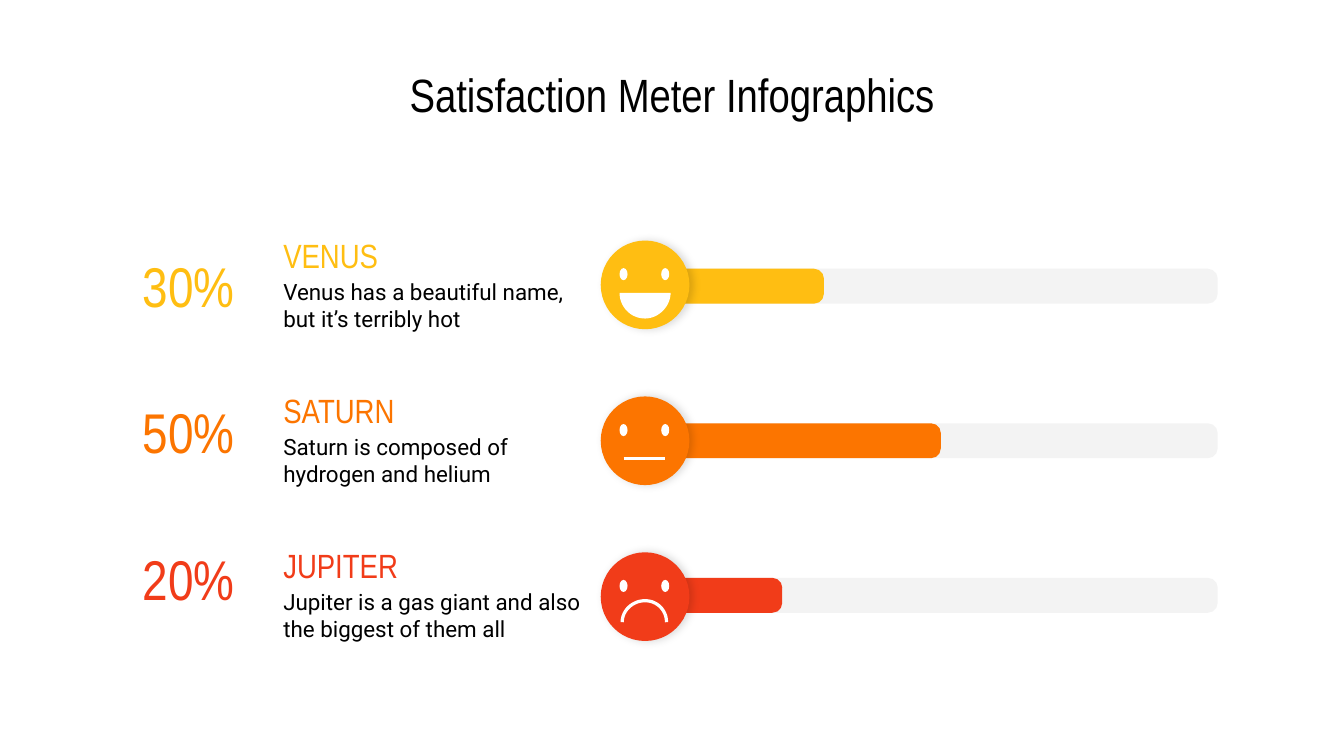
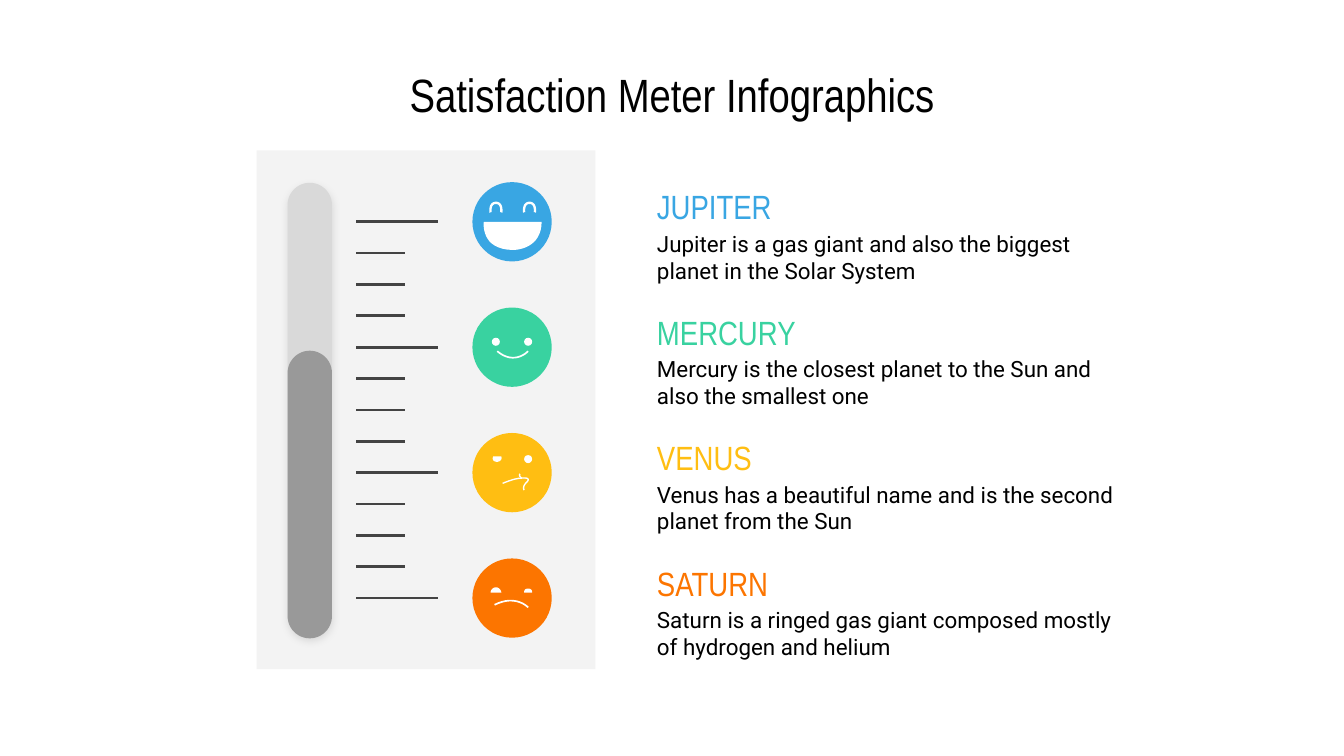
from lxml.etree import SubElement
from pptx import Presentation
from pptx.dml.color import RGBColor
from pptx.enum.shapes import MSO_CONNECTOR as Connector, MSO_SHAPE as Preset
from pptx.enum.text import MSO_ANCHOR as Anchor, PP_ALIGN as Align
from pptx.oxml.ns import qn
from pptx.util import Inches, Pt

# Shared look
BLACK = RGBColor(0x00, 0x00, 0x00)
WHITE = RGBColor(0xFF, 0xFF, 0xFF)
PALE = RGBColor(0xF3, 0xF3, 0xF3)
TUBE = RGBColor(0xD9, 0xD9, 0xD9)
LEVEL = RGBColor(0x99, 0x99, 0x99)
TICK = RGBColor(0x43, 0x43, 0x43)
YELLOW = RGBColor(0xFF, 0xBE, 0x12)
ORANGE = RGBColor(0xFC, 0x75, 0x00)
RED = RGBColor(0xF1, 0x3C, 0x19)
BLUE = RGBColor(0x39, 0xA6, 0xE3)
GREEN = RGBColor(0x39, 0xD2, 0xA0)
HEAD_FONT = "Arial Narrow"
BODY_FONT = "Roboto"
TITLE = "Satisfaction Meter Infographics"
PAGE_WIDTH = 10
CURVE_STEPS = 16


# Element helpers
def add_text(page, text, area, size, color, font=HEAD_FONT,
             align=Align.LEFT, anchor=Anchor.MIDDLE):
    box = page.shapes.add_textbox(*map(Inches, area))
    frame = box.text_frame
    frame.word_wrap = True
    frame.vertical_anchor = anchor
    frame.margin_left = frame.margin_right = Inches(0.1)
    frame.margin_top = frame.margin_bottom = Inches(0.1)
    frame.text = text
    para = frame.paragraphs[0]
    para.alignment = align
    span = para.runs[0]
    span.font.name = font
    span.font.size = Pt(size)
    span.font.color.rgb = color


def add_caption(page, left, top, width, heading, body, color):
    add_text(page, heading, (left, top, width, 0.31), 18, color)
    add_text(page, body, (left, top + 0.23, width, 0.5), 12, BLACK,
             BODY_FONT, anchor=Anchor.TOP)


def add_preset(page, kind, area, color):
    shape = page.shapes.add_shape(kind, *map(Inches, area))
    shape.shadow.inherit = False
    shape.fill.solid()
    shape.fill.fore_color.rgb = color
    shape.line.fill.background()
    return shape


def add_oval(page, center, width, height, color):
    x, y = center
    return add_preset(page, Preset.OVAL,
                      (x - width / 2, y - height / 2, width, height), color)


def cast_shadow(shape, alpha, distance, angle):
    effects = shape.element.spPr.find(qn("a:effectLst"))
    outer = SubElement(effects, qn("a:outerShdw"), blurRad=str(Pt(4.5)),
                       dist=str(Pt(distance)), dir=str(angle * 60000),
                       algn="bl", rotWithShape="0")
    color = SubElement(outer, qn("a:srgbClr"), val=str(BLACK))
    SubElement(color, qn("a:alpha"), val=str(alpha * 1000))


def add_line(page, start, end, color, width):
    line = page.shapes.add_connector(Connector.STRAIGHT,
                                     *map(Inches, (*start, *end)))
    line.line.color.rgb = color
    line.line.width = Pt(width)
    SubElement(line.element.spPr, qn("a:effectLst"))


def bezier(start, controls):
    """Points along a cubic curve, without its start."""
    knots = [start, controls[0:2], controls[2:4], controls[4:6]]
    for step in range(1, CURVE_STEPS + 1):
        t = step / CURVE_STEPS
        weights = ((1 - t) ** 3, 3 * t * (1 - t) ** 2,
                   3 * t * t * (1 - t), t ** 3)
        yield tuple(sum(w * knot[axis] for w, knot in zip(weights, knots))
                    for axis in (0, 1))


def add_curve(page, center, start, *curves, width=None):
    """White curve around a face centre: a stroke if width is set, else filled."""
    points = [start]
    for controls in curves:
        points.extend(bezier(points[-1], controls))
    places = [(Inches(center[0] + x), Inches(center[1] + y)) for x, y in points]
    builder = page.shapes.build_freeform(*places[0])
    builder.add_line_segments(places[1:], close=width is None)
    shape = builder.convert_to_shape()
    shape.shadow.inherit = False
    if width is None:
        shape.fill.solid()
        shape.fill.fore_color.rgb = WHITE
        shape.line.fill.background()
    else:
        shape.fill.background()
        shape.line.color.rgb = WHITE
        shape.line.width = Pt(width)


def add_eyes(page, center, offsets, rise, width, height):
    x, y = center
    for offset in offsets:
        add_oval(page, (x + offset, y - rise), width, height, WHITE)


# Faces of the bar slide
def draw_grin(page, center):
    add_curve(page, center, (-0.19, 0.06),
              (-0.19, 0.16, -0.11, 0.25, 0, 0.25),
              (0.1, 0.25, 0.19, 0.16, 0.19, 0.06))


def draw_flat(page, center):
    x, y = center
    add_line(page, (x - 0.16, y + 0.13), (x + 0.15, y + 0.13), WHITE, 1.73)


def draw_frown(page, center):
    add_curve(page, center, (0.16, 0.19),
              (0.16, 0.1, 0.09, 0.03, 0, 0.03),
              (-0.09, 0.03, -0.17, 0.1, -0.17, 0.19), width=1.73)


# Faces of the thermometer slide
def draw_laughing(page, center):
    add_curve(page, center, (0.22, 0),
              (0.22, 0.19, 0.05, 0.21, 0.01, 0.21),
              (-0.24, 0.21, -0.21, 0, -0.21, 0))
    for x in (-0.12, 0.13):
        add_curve(page, center, (x + 0.04, -0.07),
                  (x + 0.04, -0.07, x + 0.05, -0.14, x, -0.14),
                  (x - 0.05, -0.14, x - 0.04, -0.07, x - 0.04, -0.07),
                  width=1.25)


def draw_smiling(page, center):
    add_eyes(page, center, (-0.12, 0.12), 0.04, 0.06, 0.06)
    add_curve(page, center, (0.12, 0.03),
              (0.12, 0.03, 0.02, 0.14, -0.11, 0.03), width=0.9)


def draw_doubtful(page, center):
    add_eyes(page, center, (0.12,), 0.1, 0.06, 0.06)
    add_curve(page, center, (-0.14, -0.12),
              (-0.15, -0.1, -0.14, -0.08, -0.11, -0.08),
              (-0.1, -0.08, -0.07, -0.09, -0.08, -0.12))
    add_curve(page, center, (-0.07, 0.08),
              (-0.02, 0.06, 0.03, 0.04, 0.09, 0.04),
              (0.12, 0.04, 0.13, 0.05, 0.11, 0.07),
              (0.09, 0.09, 0.08, 0.11, 0.09, 0.13), width=0.75)
    add_curve(page, center, (0.06, 0.01),
              (0.05, 0.02, 0.06, 0.03, 0.07, 0.04), width=0.75)


def draw_sad(page, center):
    for x, half in ((0.12, 0.03), (-0.12, 0.04)):
        add_curve(page, center, (x - half, -0.04),
                  (x - half, -0.06, x - 0.02, -0.04 - half, x, -0.04 - half),
                  (x + 0.02, -0.04 - half, x + half, -0.06, x + half, -0.04))
    add_curve(page, center, (0.12, 0.07),
              (0.12, 0.07, 0.03, -0.03, -0.13, 0.05), width=0.9)


# Slides
def add_page(deck):
    page = deck.slides.add_slide(deck.slide_layouts[6])
    add_text(page, TITLE, (0.5, 0.45, 9, 0.5), 25, BLACK, align=Align.CENTER)
    return page


def add_bar(page, middle, length, color):
    left, thickness = 4.96, 0.26
    area = (left + (length - thickness) / 2, middle - length / 2,
            thickness, length)
    bar = add_preset(page, Preset.ROUND_2_SAME_RECTANGLE, area, color)
    bar.adjustments[0] = 0.28
    bar.adjustments[1] = 0
    bar.rotation = 90


def build_bars(deck):
    page = add_page(deck)
    rows = [
        ("30%", "VENUS", "Venus has a beautiful name, but it’s terribly hot",
         YELLOW, 1.17, draw_grin, 2.2),
        ("50%", "SATURN", "Saturn is composed of hydrogen and helium",
         ORANGE, 2.04, draw_flat, 1.5),
        ("20%", "JUPITER",
         "Jupiter is a gas giant and also the biggest of them all",
         RED, 0.86, draw_frown, 1.5),
    ]
    for i, (share, name, body, color, length, draw, drop) in enumerate(rows):
        center = (4.8, 2.12 + 1.16 * i)
        add_bar(page, 2.13 + 1.15 * i, 4.1, PALE)
        add_bar(page, 2.13 + 1.15 * i, length, color)
        face = add_oval(page, center, 0.66, 0.66, color)
        cast_shadow(face, 14, drop, 359)
        add_eyes(page, center, (-0.16, 0.15), 0.08, 0.06, 0.09)
        draw(page, center)
        add_caption(page, 2.01, 1.74 + 1.155 * i, 2.46, name, body, color)
        add_text(page, share, (0.94, 1.87 + 1.09 * i, 0.93, 0.5), 30, color,
                 align=Align.CENTER)


def build_thermometer(deck):
    page = add_page(deck)
    first, span = 1.65, 2.8
    levels = [
        ("JUPITER", "Jupiter is a gas giant and also the biggest planet in "
         "the Solar System", BLUE, draw_laughing),
        ("MERCURY", "Mercury is the closest planet to the Sun and also the "
         "smallest one", GREEN, draw_smiling),
        ("VENUS", "Venus has a beautiful name and is the second planet from "
         "the Sun", YELLOW, draw_doubtful),
        ("SATURN", "Saturn is a ringed gas giant composed mostly of hydrogen "
         "and helium", ORANGE, draw_sad),
    ]
    add_preset(page, Preset.RECTANGLE, (1.91, 1.12, 2.52, 3.86), PALE)
    for i, (name, body, color, draw) in enumerate(levels):
        center = (3.81, first + i * span / 3)
        add_oval(page, center, 0.59, 0.59, color)
        draw(page, center)
        add_caption(page, 4.79, center[1] - 0.27, 3.77, name, body, color)

    # Tube, scale and level
    tube = add_preset(page, Preset.ROUNDED_RECTANGLE,
                      (2.14, 1.36, 0.33, 3.38), TUBE)
    tube.adjustments[0] = 0.5
    cast_shadow(tube, 11, 1.5, 90)
    for i in range(13):
        y = first + i * span / 12
        add_line(page, (2.65, y), (3.01 if i % 4 else 3.26, y), TICK, 1.5)
    level = add_preset(page, Preset.ROUNDED_RECTANGLE,
                       (2.14, 2.61, 0.33, 2.14), LEVEL)
    level.adjustments[0] = 0.5


def main():
    deck = Presentation()
    deck.slide_width = Inches(PAGE_WIDTH)
    deck.slide_height = Inches(PAGE_WIDTH * 9 / 16)
    build_bars(deck)
    build_thermometer(deck)
    deck.save("out.pptx")


if __name__ == "__main__":
    main()
